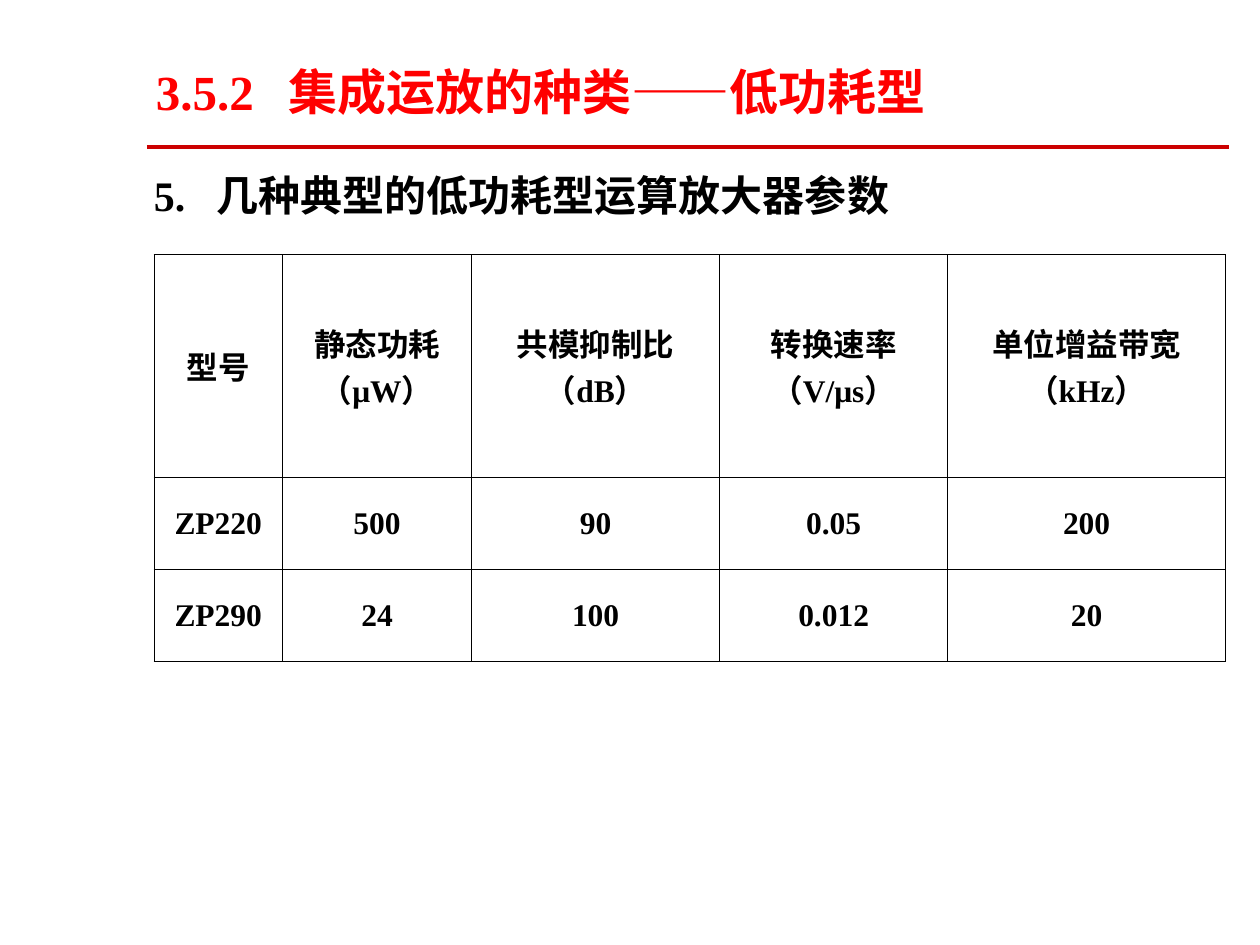
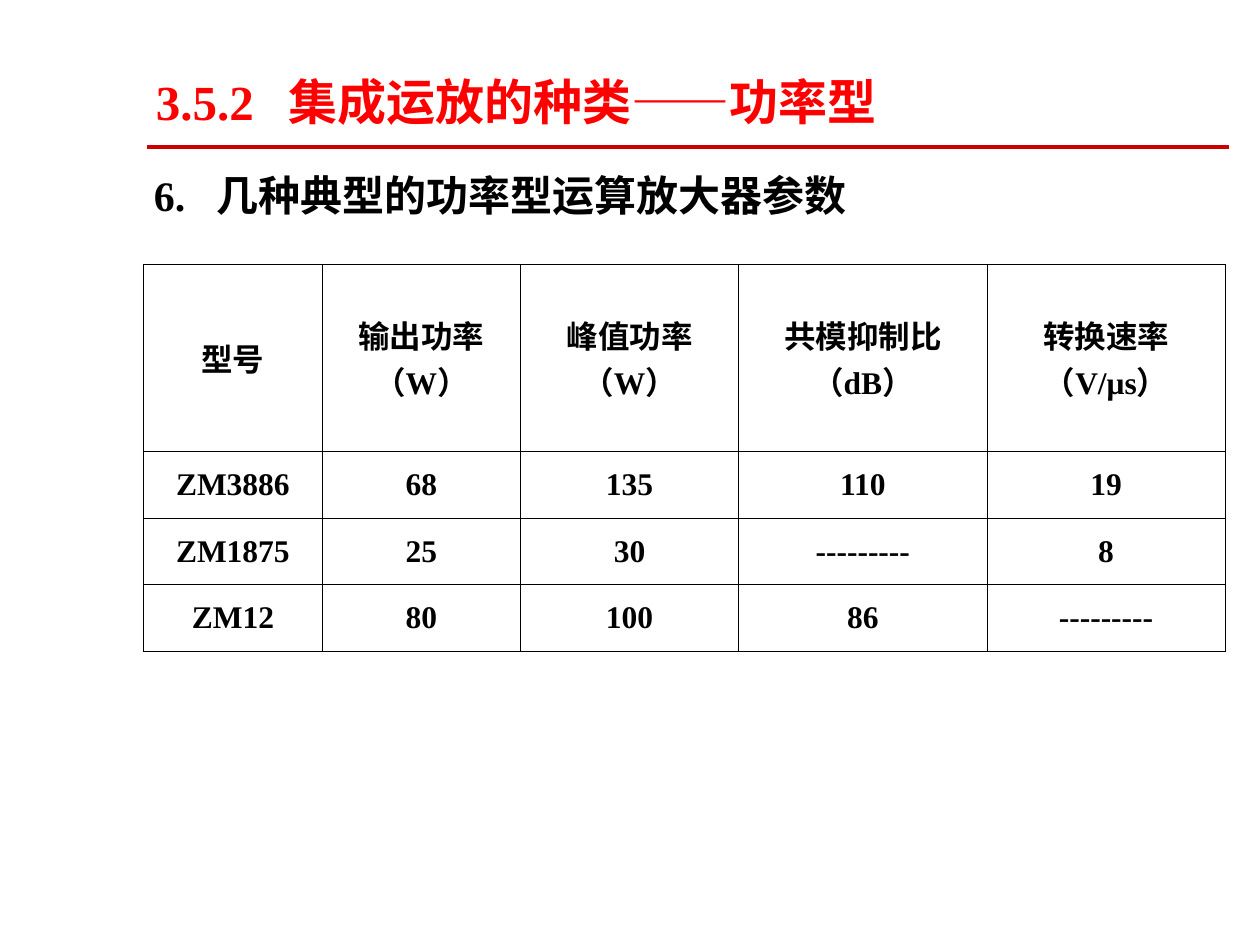
"""Build two slides that list parameters of typical operational amplifiers."""
from lxml import etree
from pptx import Presentation
from pptx.dml.color import RGBColor
from pptx.enum.shapes import MSO_CONNECTOR
from pptx.enum.text import MSO_ANCHOR, PP_ALIGN
from pptx.oxml.ns import qn
from pptx.util import Pt

STRAIGHT = MSO_CONNECTOR.STRAIGHT
TOP, MIDDLE = MSO_ANCHOR.TOP, MSO_ANCHOR.MIDDLE
CENTER = PP_ALIGN.CENTER
COLORS = {"title": "FF0000", "rule": "CC0000", "ink": "000000"}
FONT = "Times New Roman"
EDGE, GRID = 0.34, 0.45


class SlideWriter:
    def __init__(self, deck):
        self.deck = deck
        self.page = None

    def add_page(self):
        self.page = self.deck.slides.add_slide(self.deck.slide_layouts[6])
        rule = self.page.shapes.add_connector(STRAIGHT, Pt(84), Pt(84), Pt(702), Pt(84))
        rule.line.color.rgb = RGBColor.from_string(COLORS["rule"])
        rule.line.width = Pt(2.5)
        etree.SubElement(rule._element.spPr, qn("a:effectLst"))

    def style(self, paragraph, size, color="ink"):
        for span in paragraph.runs:
            span.font.name = FONT
            span.font.size = Pt(size)
            span.font.bold = True
            span.font.color.rgb = RGBColor.from_string(COLORS[color])

    def numbered_line(self, number, text, left, top, width, height, size, tab,
                      color="ink", anchor=MIDDLE, insets=(0, 0)):
        box = self.page.shapes.add_textbox(Pt(left), Pt(top), Pt(width), Pt(height))
        frame = box.text_frame
        frame.word_wrap = True
        frame.vertical_anchor = anchor
        frame.margin_left = frame.margin_right = Pt(insets[0])
        frame.margin_top = frame.margin_bottom = Pt(insets[1])
        frame.text = f"{number}\t{text}"
        paragraph = frame.paragraphs[0]
        tabs = etree.SubElement(paragraph._p.get_or_add_pPr(), qn("a:tabLst"))
        etree.SubElement(tabs, qn("a:tab"), pos=str(Pt(tab)), algn="l")
        self.style(paragraph, size, color)

    def title(self, text, top, width):
        self.numbered_line("3.5.2", text, 82, top, width, 39.6, 28, 76,
                           "title", TOP, (7.2, 3.6))

    def heading(self, number, text, width):
        self.numbered_line(number, text, 88, 94.3, width, 33.8, 24, 36)

    def border(self, cell, side, width):
        line = etree.SubElement(cell._tc.get_or_add_tcPr(), qn(f"a:ln{side}"), w=str(Pt(width)))
        fill = etree.SubElement(line, qn("a:solidFill"))
        etree.SubElement(fill, qn("a:srgbClr"), val=COLORS["ink"])

    def table(self, rows, left, top, widths, heights):
        frame = self.page.shapes.add_table(len(rows), len(widths), Pt(left), Pt(top),
                                           Pt(sum(widths)), Pt(sum(heights)))
        grid = frame.table
        grid.first_row = grid.horz_banding = False
        for column, width in zip(grid.columns, widths):
            column.width = Pt(width)
        for row, height in zip(grid.rows, heights):
            row.height = Pt(height)
        for i, values in enumerate(rows):
            for j, value in enumerate(values):
                cell = grid.cell(i, j)
                cell.text = value
                cell.vertical_anchor = MIDDLE
                for paragraph in cell.text_frame.paragraphs:
                    paragraph.alignment = CENTER
                    self.style(paragraph, 18)
                self.border(cell, "L", EDGE if i and j == 0 else GRID)
                self.border(cell, "R", EDGE if j == len(values) - 1 else GRID)
                self.border(cell, "T", GRID)
                self.border(cell, "B", GRID)
                cell.fill.background()


def main():
    deck = Presentation()
    deck.slide_width, deck.slide_height = Pt(720), Pt(540)
    writer = SlideWriter(deck)

    writer.add_page()
    writer.heading("5.", "几种典型的低功耗型运算放大器参数", 516)
    low_power = [
        ["型号", "静态功耗（μW）", "共模抑制比\n（dB）", "转换速率\n（V/μs）", "单位增益带宽\n（kHz）"],
        ["ZP220", "500", "90", "0.05", "200"],
        ["ZP290", "24", "100", "0.012", "20"],
    ]
    writer.table(low_power, 88, 145.4, [73.5, 108, 141.8, 130.3, 158.8], [127.4, 52.6, 52.6])
    writer.title("集成运放的种类——低功耗型", 31.7, 510.5)

    writer.add_page()
    writer.heading("6.", "几种典型的功率型运算放大器参数", 453.6)
    power = [
        ["型号", "输出功率\n（W）", "峰值功率\n（W）", "共模抑制比\n（dB）", "转换速率\n（V/μs）"],
        ["ZM3886", "68", "135", "110", "19"],
        ["ZM1875", "25", "30", "---------", "8"],
        ["ZM12", "80", "100", "86", "---------"],
    ]
    writer.table(power, 82, 151.2, [102.2, 113.2, 124.8, 141.8, 136.2], [106.6] + [38.2] * 3)
    writer.title("集成运放的种类——功率型", 37.4, 459.4)

    deck.save("out.pptx")


if __name__ == "__main__":
    main()
